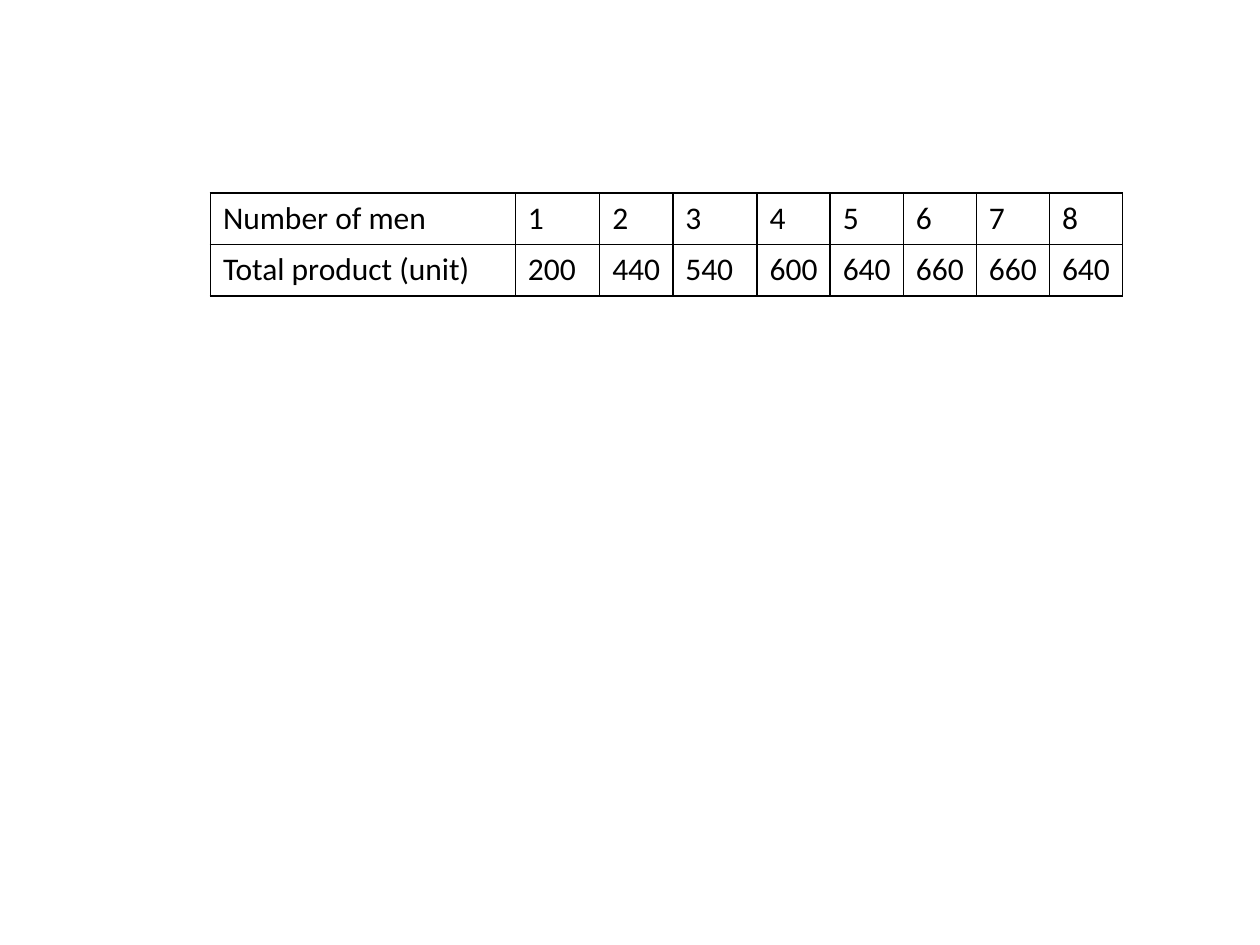
from lxml.etree import SubElement
from pptx import Presentation
from pptx.dml.color import RGBColor as Rgb
from pptx.oxml.ns import qn
from pptx.util import Inches, Pt

COLORS = {"ink": "000000"}
FONT = {"name": "Calibri", "size": Pt(18), "bold": False}
BORDER = {"w": str(Pt(1)), "cap": "flat", "cmpd": "sng"}


class SlideBuilder:
    """Holds the table style and the slide being built."""

    def __init__(self, slide):
        self.slide = slide

    def border(self, cell):
        properties = cell._tc.get_or_add_tcPr()
        for side in ("lnL", "lnR", "lnT", "lnB"):
            line = SubElement(properties, qn(f"a:{side}"), BORDER)
            fill = SubElement(line, qn("a:solidFill"))
            SubElement(fill, qn("a:srgbClr"), val=COLORS["ink"])

    def label(self, cell, text):
        cell.text = str(text)
        font = cell.text_frame.paragraphs[0].runs[0].font
        for attribute, value in FONT.items():
            setattr(font, attribute, value)
        font.color.rgb = Rgb.from_string(COLORS["ink"])

    def table(self, rows, left, top, widths, row_height):
        grid = self.slide.shapes.add_table(
            len(rows), len(widths), Inches(left), Inches(top),
            Inches(sum(widths)), Inches(row_height * len(rows))).table
        grid.first_row = grid.horz_banding = False
        for column, width in zip(grid.columns, widths):
            column.width = Inches(width)
        for row, values in zip(grid.rows, rows):
            row.height = Inches(row_height)
            for cell, value in zip(row.cells, values):
                self.label(cell, value)
                self.border(cell)
                cell.fill.background()


def main():
    deck = Presentation()
    deck.slide_width, deck.slide_height = Inches(10), Inches(7.5)
    builder = SlideBuilder(deck.slides.add_slide(deck.slide_layouts[6]))
    production = [
        ["Number of men", *range(1, 9)],
        ["Total product (unit)", 200, 440, 540, 600, 640, 660, 660, 640],
    ]
    widths = [2.42, 0.67, 0.58, 0.67] + [0.58] * 5
    builder.table(production, 1.67, 1.53, widths, 0.41)
    deck.save("out.pptx")


if __name__ == "__main__":
    main()
